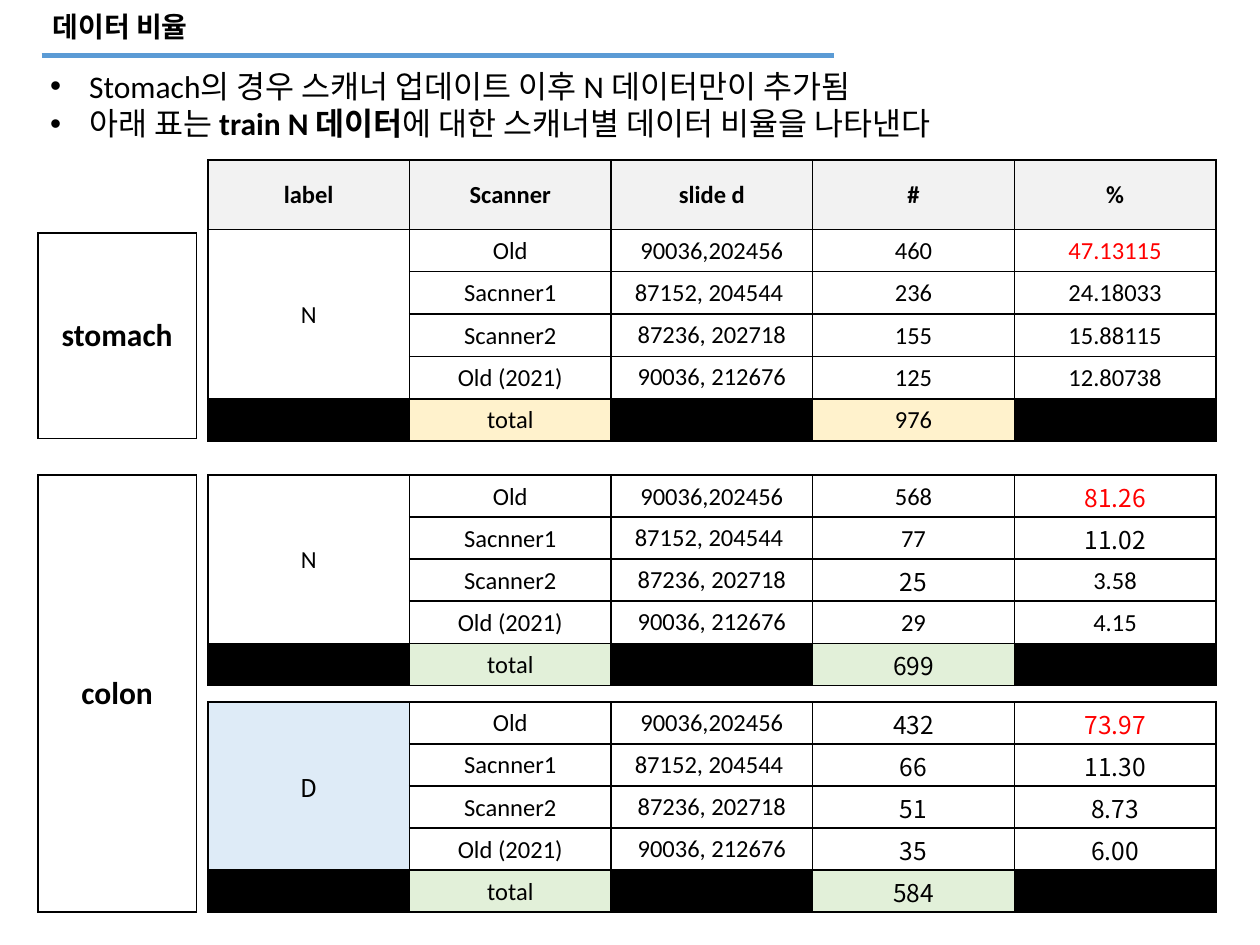
from lxml import etree
from pptx import Presentation
from pptx.dml.color import RGBColor
from pptx.enum import shapes, text
from pptx.oxml import ns
from pptx import util as u

BLACK = RGBColor(0x00, 0x00, 0x00)
WHITE = RGBColor(0xFF, 0xFF, 0xFF)
RED = RGBColor(0xFF, 0x00, 0x00)
BLUE = RGBColor(0x5B, 0x9B, 0xD5)
GREY = RGBColor(0xF2, 0xF2, 0xF2)
CREAM = RGBColor(0xFF, 0xF2, 0xCC)
GREEN = RGBColor(0xE2, 0xF0, 0xD9)
PALE_BLUE = RGBColor(0xDE, 0xEB, 0xF7)

LATIN = "Calibri"
KOREAN = "Noto Sans CJK KR"

HEADER = ["label", "Scanner", "slide d", "#", "%"]
SCANNERS = [
    ("Old", "90036,202456"),
    ("Sacnner1", "87152, 204544 "),
    ("Scanner2", "87236, 202718"),
    ("Old (2021)", "90036, 212676"),
]
STOMACH_N = [("460", "47.13115"), ("236", "24.18033"), ("155", "15.88115"), ("125", "12.80738")]
COLON_N = [("568", "81.26"), ("77", "11.02"), ("25", "3.58"), ("29", "4.15")]
COLON_D = [("432", "73.97"), ("66", "11.30"), ("51", "8.73"), ("35", "6.00")]
COLON_N_KOREAN = {"81.26", "11.02", "25", "699"}
COLON_D_KOREAN = {"D", "584", *(value for pair in COLON_D for value in pair)}


def add_span(para, words, size=14, font=LATIN, color=BLACK, bold=False):
    span = para.add_run()
    span.text = words
    span.font.size = u.Pt(size)
    span.font.name = font
    span.font.bold = bold
    span.font.color.rgb = color
    east_asian = etree.Element(ns.qn("a:ea"), typeface=KOREAN)
    span.font._element.find(ns.qn("a:latin")).addnext(east_asian)


class Style:
    columns, rows = 100, 75
    border = 1
    inset = 0.01
    table_left, table_width = 16.5, 80
    header_height, body_height = 5.5, 16.7

    def __init__(self, deck):
        self.deck = deck
        self.page = deck.slides.add_slide(deck.slide_layouts[6])

    def place(self, left, top, width, height):
        across = self.deck.slide_width / self.columns
        down = self.deck.slide_height / self.rows
        return [u.Emu(round(n)) for n in (left * across, top * down, width * across, height * down)]

    def text(self, frame, paragraphs, size, bullet=False):
        box = self.page.shapes.add_textbox(*self.place(*frame))
        box.text_frame.word_wrap = True
        box.text_frame.auto_size = text.MSO_AUTO_SIZE.SHAPE_TO_FIT_TEXT
        for index, spans in enumerate(paragraphs):
            para = box.text_frame.add_paragraph() if index else box.text_frame.paragraphs[0]
            if bullet:
                indent = u.Inches(0.31)
                properties = para._p.get_or_add_pPr()
                properties.set("marL", str(indent))
                properties.set("indent", str(-indent))
                etree.SubElement(properties, ns.qn("a:buFont"), typeface="Arial")
                etree.SubElement(properties, ns.qn("a:buChar"), char="•")
            for words, bold in spans:
                add_span(para, words, size=size, bold=bold)

    def rule(self, left, top, width, color, weight):
        x, y, length, _ = self.place(left, top, width, 0)
        line = self.page.shapes.add_connector(shapes.MSO_CONNECTOR.STRAIGHT, x, y, x + length, y)
        line.line.color.rgb = color
        line.line.width = u.Pt(weight)
        etree.SubElement(line._element.spPr, ns.qn("a:effectLst"))

    def grid(self, frame, row_count, column_count):
        holder = self.page.shapes.add_table(row_count, column_count, *self.place(*frame))
        table = holder.table
        table.first_row = table.horz_banding = False
        for cell in table.iter_cells():
            cell.vertical_anchor = text.MSO_ANCHOR.MIDDLE
            cell.fill.background()
            for index, side in enumerate(("a:lnL", "a:lnR", "a:lnT", "a:lnB")):
                edge = etree.Element(ns.qn(side), w=str(u.Pt(self.border)))
                paint = etree.SubElement(edge, ns.qn("a:solidFill"))
                etree.SubElement(paint, ns.qn("a:srgbClr"), val=str(BLACK))
                cell._tc.get_or_add_tcPr().insert(index, edge)
        return table

    def label(self, cell, words, **style):
        para = cell.text_frame.paragraphs[0]
        para.alignment = text.PP_ALIGN.CENTER
        add_span(para, words, **style)

    def organ(self, name, top, height):
        table = self.grid((3, top, 12.6, height), 1, 1)
        self.label(table.cell(0, 0), name, size=18, bold=True)

    def ratios(self, top, label, values, total, total_fill, label_fill=WHITE, header=(), korean=()):
        body = [["", *scanner, *pair] for scanner, pair in zip(SCANNERS, values)]
        body[0][0] = label
        first = 1 if header else 0
        lines = [header] * first + body + [["", "total", "", total, ""]]
        last = len(lines) - 1
        height = self.body_height + first * self.header_height
        table = self.grid((self.table_left, top, self.table_width, height), len(lines), len(HEADER))
        row_height = self.body_height / (len(body) + 1)
        for index, row in enumerate(table.rows):
            tall = header and index == 0
            row.height = self.place(0, 0, 0, self.header_height if tall else row_height)[3]
        for r, line in enumerate(lines):
            is_header = r < first
            for c, words in enumerate(line):
                cell = table.cell(r, c)
                cell.fill.solid()
                if is_header:
                    fill = GREY
                elif r == last:
                    fill = total_fill if words else BLACK
                else:
                    fill = label_fill if c == 0 else WHITE
                cell.fill.fore_color.rgb = fill
                if c != 2 or r <= first or r == last:
                    cell.margin_left = cell.margin_right = cell.margin_top = u.Inches(self.inset)
                    cell.margin_bottom = 0
                if words:
                    self.label(
                        cell, words, bold=is_header,
                        font=KOREAN if words in korean else LATIN,
                        color=RED if (r, c) == (first, 4) else BLACK,
                    )
        table.cell(first, 0).merge(table.cell(last - 1, 0))


def main():
    deck = Presentation()
    deck.slide_width, deck.slide_height = u.Inches(10), u.Inches(7.5)
    style = Style(deck)
    style.ratios(12.7, "N", STOMACH_N, "976", CREAM, header=HEADER)
    style.text((3, 4.8, 80.6, 7.1), [
        [("Stomach의 경우 스캐너 업데이트 이후 N 데이터만이 추가됨", False)],
        [("아래 표는 ", False), ("train N 데이터", True),
         ("에 대한 스캐너별 데이터 비율을 나타낸다", False)],
    ], size=18, bullet=True)
    style.ratios(37.7, "N", COLON_N, "699", GREEN, korean=COLON_N_KOREAN)
    style.ratios(55.7, "D", COLON_D, "584", GREEN, label_fill=PALE_BLUE, korean=COLON_D_KOREAN)
    style.organ("stomach", 18.5, 16.3)
    style.organ("colon", 37.7, 34.7)
    style.text((3.2, 0.3, 65.2, 3.7), [[("데이터 비율", True)]], size=16)
    style.rule(3.3, 4.4, 62.9, BLUE, 3)
    deck.save("out.pptx")


if __name__ == "__main__":
    main()
